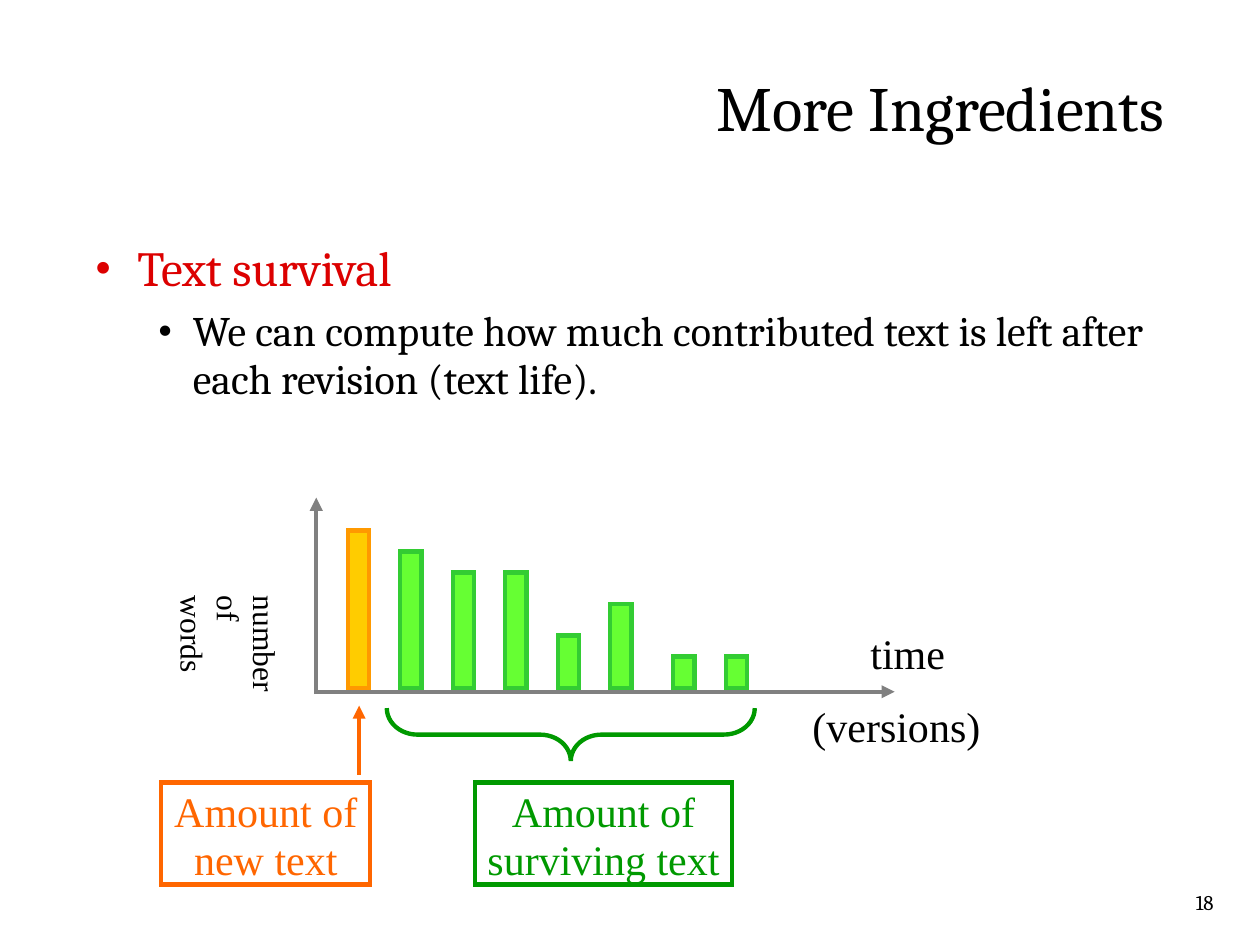
"""Build the slide on text survival with its bar sketch of words over versions."""
from lxml import etree
from pptx import Presentation
from pptx.dml.color import RGBColor
from pptx.enum import shapes, text
from pptx.oxml.ns import qn
from pptx.util import Inches, Pt

COLORS = {
    "black": "000000", "red": "DC0000", "axis": "808080",
    "new": "FF6600", "surviving": "009900",
    "new_fill": "FFCC00", "new_edge": "FF9900",
    "kept_fill": "66FF33", "kept_edge": "33CC33",
}
SERIF, ROMAN = "Cambria", "Times New Roman"
LEFT, CENTER, RIGHT = text.PP_ALIGN.LEFT, text.PP_ALIGN.CENTER, text.PP_ALIGN.RIGHT
STROKE = 2.5

HEADING = "More Ingredients"
POINTS = [
    dict(words="Text survival", size=28, color="red",
         before=0, margin=0.34, hanging=0.34, percent=100),
    dict(words="We can compute how much contributed text is left after each revision (text life).",
         size=24, color="black", before=6, margin=0.78, hanging=0.28, percent=103),
]
UNIT = 1 / 12
BARS = [(0, 15), (5, 13), (10, 11), (15, 11), (20, 5), (25, 8), (31, 3), (36, 3)]
BAR_LEFT, BAR_BASE, BAR_WIDTH = 2.76, 5.46, 0.17
ARROWS = [
    ((2.85, 6.15), (2.85, 5.6), "new"),
    ((2.51, 5.51), (2.51, 3.95), "axis"),
    ((2.51, 5.49), (7.1, 5.49), "axis"),
]
AXIS_LABELS = [("time", (6.81, 4.96, 0.79, 0.46)), ("(versions)", (6.35, 5.54, 1.53, 0.48))]
CAPTIONS = [
    (["Amount of", "new text"], (1.28, 6.21, 1.66, 0.81), "new"),
    (["Amount of", "surviving text"], (3.77, 6.21, 2.04, 0.81), "surviving"),
]
WORD_COUNT = (["number", "of words"], (1.56, 4.63, 0.73, 0.98))
PAGE = ("18", (9.26, 7.01, 0.47, 0.3))


def rgb(name):
    return RGBColor.from_string(COLORS[name])


def inches(values):
    return [Inches(value) for value in values]


def style(paragraph, size, face, color, align=LEFT, spacing=0.96):
    paragraph.alignment = align
    paragraph.line_spacing = spacing
    paragraph.font.size = Pt(size)
    paragraph.font.name = face
    paragraph.font.color.rgb = rgb(color)


def outline(line, color):
    line.color.rgb = rgb(color)
    line.width = Pt(STROKE)
    etree.SubElement(line._get_or_add_ln(), qn("a:miter"), lim="800000")


def set_margins(frame, across, down):
    frame.margin_left = frame.margin_right = Inches(across)
    frame.margin_top = frame.margin_bottom = Inches(down)


def add_label(slide, lines, box, size=24, face=ROMAN, color="black", align=LEFT,
              spacing=0.96, wrap=False):
    label = slide.shapes.add_textbox(*inches(box))
    frame = label.text_frame
    frame.word_wrap = wrap
    frame.text = "\n".join(lines)
    for paragraph in frame.paragraphs:
        style(paragraph, size, face, color, align, spacing)
    return label


def place(holder, box, anchor):
    holder.left, holder.top, holder.width, holder.height = inches(box)
    frame = holder.text_frame
    set_margins(frame, 0, 0)
    frame.auto_size = text.MSO_AUTO_SIZE.NONE
    frame.word_wrap = True
    frame.vertical_anchor = anchor
    return frame


def add_bullet(paragraph, point):
    properties = paragraph._p.get_or_add_pPr()
    properties.set("marL", str(Inches(point["margin"])))
    properties.set("indent", str(-Inches(point["hanging"])))
    tint = etree.SubElement(properties, qn("a:buClr"))
    etree.SubElement(tint, qn("a:srgbClr"), val=COLORS[point["color"]])
    etree.SubElement(properties, qn("a:buSzPct"), val=str(point["percent"] * 1000))
    etree.SubElement(properties, qn("a:buFont"), typeface=ROMAN)
    etree.SubElement(properties, qn("a:buChar"), char="•")


def add_heading_and_points(slide):
    heading = place(slide.shapes.title, (0.75, 0.3, 8.49, 1.14), text.MSO_ANCHOR.MIDDLE)
    heading.text = HEADING
    style(heading.paragraphs[0], 36, SERIF, "black", RIGHT, 0.95)

    body = place(slide.placeholders[1], (0.75, 1.92, 8.49, 4.98), text.MSO_ANCHOR.TOP)
    body.text = "\n".join(point["words"] for point in POINTS)
    for level, (paragraph, point) in enumerate(zip(body.paragraphs, POINTS)):
        paragraph.level = level
        add_bullet(paragraph, point)
        style(paragraph, point["size"], SERIF, point["color"], spacing=0.95)
        paragraph.space_before = Pt(point["before"])


def add_bars(slide):
    for index, (offset, words) in enumerate(BARS):
        kind = "kept" if index else "new"
        height = words * UNIT
        bar = slide.shapes.add_shape(
            shapes.MSO_SHAPE.RECTANGLE,
            *inches((BAR_LEFT + offset * UNIT, BAR_BASE - height, BAR_WIDTH, height)))
        bar.shadow.inherit = False
        bar.fill.solid()
        bar.fill.fore_color.rgb = rgb(kind + "_fill")
        outline(bar.line, kind + "_edge")


def add_captions(slide):
    for lines, box, color in CAPTIONS:
        caption = add_label(slide, lines, box, color=color, align=CENTER)
        set_margins(caption.text_frame, 0.05, 0.05)
        outline(caption.line, color)


def add_arrow(slide, start, end, color):
    arrow = slide.shapes.add_connector(
        shapes.MSO_CONNECTOR.STRAIGHT, *inches(start + end))
    outline(arrow.line, color)
    etree.SubElement(arrow.line._get_or_add_ln(), qn("a:tailEnd"), type="triangle")
    etree.SubElement(arrow._element.spPr, qn("a:effectLst"))


def add_brace(slide):
    brace = slide.shapes.add_shape(
        shapes.MSO_SHAPE.LEFT_BRACE, *inches((4.32, 4.37, 0.42, 2.92)))
    brace.rotation = 270
    brace.adjustments[0] = 0.58
    brace.shadow.inherit = False
    brace.fill.background()
    outline(brace.line, "surviving")


def add_word_count(slide):
    lines, box = WORD_COUNT
    frame = add_label(slide, lines, box, size=18, wrap=True).text_frame
    set_margins(frame, 0.05, 0.1)
    frame._txBody.bodyPr.set("vert", "eaVert")


def main():
    deck = Presentation()
    deck.slide_width, deck.slide_height = Inches(10), Inches(7.5)
    slide = deck.slides.add_slide(deck.slide_layouts[1])
    add_heading_and_points(slide)
    add_bars(slide)
    for label, box in AXIS_LABELS:
        add_label(slide, [label], box)
    add_captions(slide)
    add_brace(slide)
    for start, end, color in ARROWS:
        add_arrow(slide, start, end, color)
    add_word_count(slide)
    number, box = PAGE
    add_label(slide, [number], box, 12, SERIF, align=RIGHT, spacing=1.0, wrap=True)
    deck.save("out.pptx")


if __name__ == "__main__":
    main()
